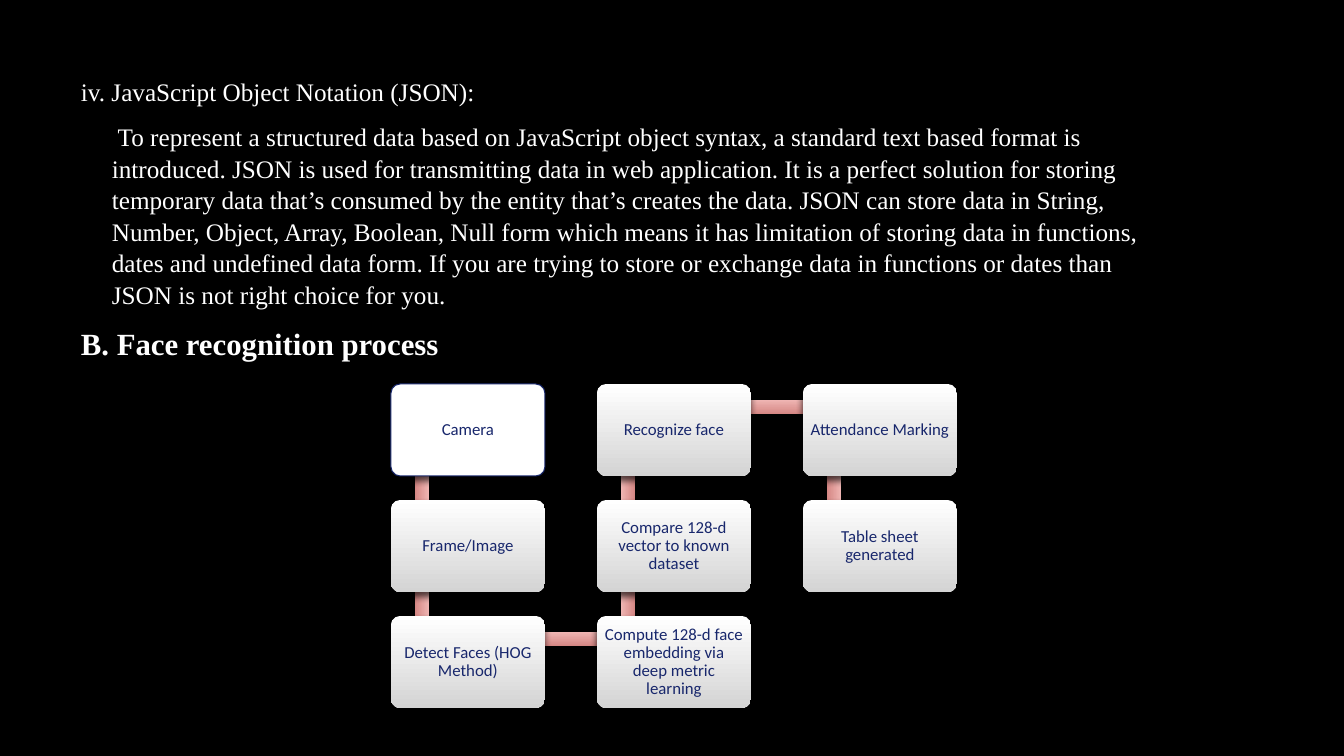
from itertools import zip_longest

from lxml.etree import SubElement
from pptx import Presentation
from pptx.dml.color import RGBColor
from pptx.enum.shapes import MSO_SHAPE
from pptx.enum.text import MSO_ANCHOR, PP_ALIGN
from pptx.oxml.ns import qn
from pptx.util import Emu, Pt

PX = 9071
SLIDE = (1344, 756)
BACKGROUND, WHITE, NAVY = "000000", "FFFFFF", "18276C"
STEP_SHADES = ("FFFFFF", "D4D4D4")
LINK_SHADES = ("EFB5B3", "D58784")

NOTES = [
    ("iv. JavaScript Object Notation (JSON):", 18, False),
    ("\t To represent a structured data based on JavaScript object syntax, a standard "
     "text based format is introduced. JSON is used for transmitting data in web "
     "application. It is a perfect solution for storing temporary data that’s consumed "
     "by the entity that’s creates the data. JSON can store data in String, Number, "
     "Object, Array, Boolean, Null form which means it has limitation of storing data "
     "in functions, dates and undefined data form. If you are trying to store or "
     "exchange data in functions or dates than JSON is not right choice for you.",
     18, False),
    ("B. Face recognition process", 22, True),
]
STEPS = [
    ("Camera", 0, 0),
    ("Frame/Image", 0, 1),
    ("Detect Faces (HOG Method)", 0, 2),
    ("Compute 128-d face embedding via deep metric learning", 1, 2),
    ("Compare 128-d vector to known dataset", 1, 1),
    ("Recognize face", 1, 0),
    ("Attendance Marking", 2, 0),
    ("Table sheet generated", 2, 1),
]

NOTES_BOX = (71, 54, 1117, 450)
NOTES_TOP_INSET = 21
HANGING = 31
GRID_LEFT, GRID_TOP = 391, 384
PITCH_X, PITCH_Y = 206, 116
STEP_W, STEP_H = 154, 92
LINK_DX, LINK_DY = 31, 23
LINK_THICK = 14


def px(value):
    return Emu(round(value * PX))


def color(hex_string):
    return RGBColor.from_string(hex_string)


def write(frame, text, *, size, font, ink, bold=False, align=PP_ALIGN.LEFT,
          spacing=1.0, after=0, hanging=0, first=True):
    paragraph = frame.paragraphs[0] if first else frame.add_paragraph()
    paragraph.alignment = align
    paragraph.line_spacing = spacing
    paragraph.space_after = Pt(after)
    if hanging:
        properties = paragraph._p.get_or_add_pPr()
        properties.set("marL", str(px(hanging)))
        properties.set("indent", str(-px(hanging)))
    run = paragraph.add_run()
    run.text = text
    run.font.size = Pt(size)
    run.font.name = font
    run.font.bold = bold
    run.font.color.rgb = color(ink)


def shade(fill, shades):
    fill.gradient()
    fill.gradient_angle = 270
    for stop, hex_string in zip(fill.gradient_stops, shades):
        stop.color.rgb = color(hex_string)


def add_block(slide, kind, left, top, width, height, shades):
    block = slide.shapes.add_shape(kind, px(left), px(top), px(width), px(height))
    block.shadow.inherit = False
    shade(block.fill, shades)
    block.line.fill.background()
    effects = block._element.spPr.find(qn("a:effectLst"))
    shadow = SubElement(effects, qn("a:outerShdw"), blurRad=str(Pt(5)),
                        dist=str(Pt(3)), dir="5400000", rotWithShape="0")
    tint = SubElement(shadow, qn("a:srgbClr"), val="000000")
    SubElement(tint, qn("a:alpha"), val="65000")
    return block


def corner(column, row):
    return GRID_LEFT + column * PITCH_X, GRID_TOP + row * PITCH_Y


def add_link(slide, start, end):
    (x1, y1), (x2, y2) = corner(*start), corner(*end)
    length = abs(x2 - x1) + abs(y2 - y1)
    center_x = (x1 + x2) / 2 + LINK_DX
    center_y = (y1 + y2) / 2 + LINK_DY
    link = add_block(slide, MSO_SHAPE.RECTANGLE, center_x - length / 2,
                     center_y - LINK_THICK / 2, length, LINK_THICK, LINK_SHADES)
    if x1 == x2:
        link.rotation = 90 if y2 > y1 else 270


def add_step(slide, label, column, row):
    step = add_block(slide, MSO_SHAPE.ROUNDED_RECTANGLE, *corner(column, row),
                     STEP_W, STEP_H, STEP_SHADES)
    step.adjustments[0] = 0.1
    frame = step.text_frame
    frame.word_wrap = True
    frame.vertical_anchor = MSO_ANCHOR.MIDDLE
    frame.margin_left = frame.margin_right = px(5)
    frame.margin_top = frame.margin_bottom = px(5)
    write(frame, label, size=12, font="Calibri", ink=NAVY,
          align=PP_ALIGN.CENTER, spacing=0.9)
    return step


def add_notes(slide):
    frame = slide.shapes.add_textbox(*map(px, NOTES_BOX)).text_frame
    frame.word_wrap = True
    frame.vertical_anchor = MSO_ANCHOR.TOP
    frame.margin_top = px(NOTES_TOP_INSET)
    for index, (text, size, bold) in enumerate(NOTES):
        write(frame, text, size=size, font="Times New Roman", ink=WHITE, bold=bold,
              spacing=1.04, after=10, hanging=HANGING, first=index == 0)


def main():
    deck = Presentation()
    deck.slide_width, deck.slide_height = map(px, SLIDE)
    slide = deck.slides.add_slide(deck.slide_layouts[6])
    slide.background.fill.solid()
    slide.background.fill.fore_color.rgb = color(BACKGROUND)
    add_notes(slide)
    for step, following in zip_longest(STEPS, STEPS[1:]):
        if following:
            add_link(slide, step[1:], following[1:])
        block = add_step(slide, *step)
        if step == STEPS[0]:
            block.fill.solid()
            block.fill.fore_color.rgb = color(WHITE)
            block.line.color.rgb = color(NAVY)
            block.line.width = Pt(0.75)
    deck.save("out.pptx")


if __name__ == "__main__":
    main()
